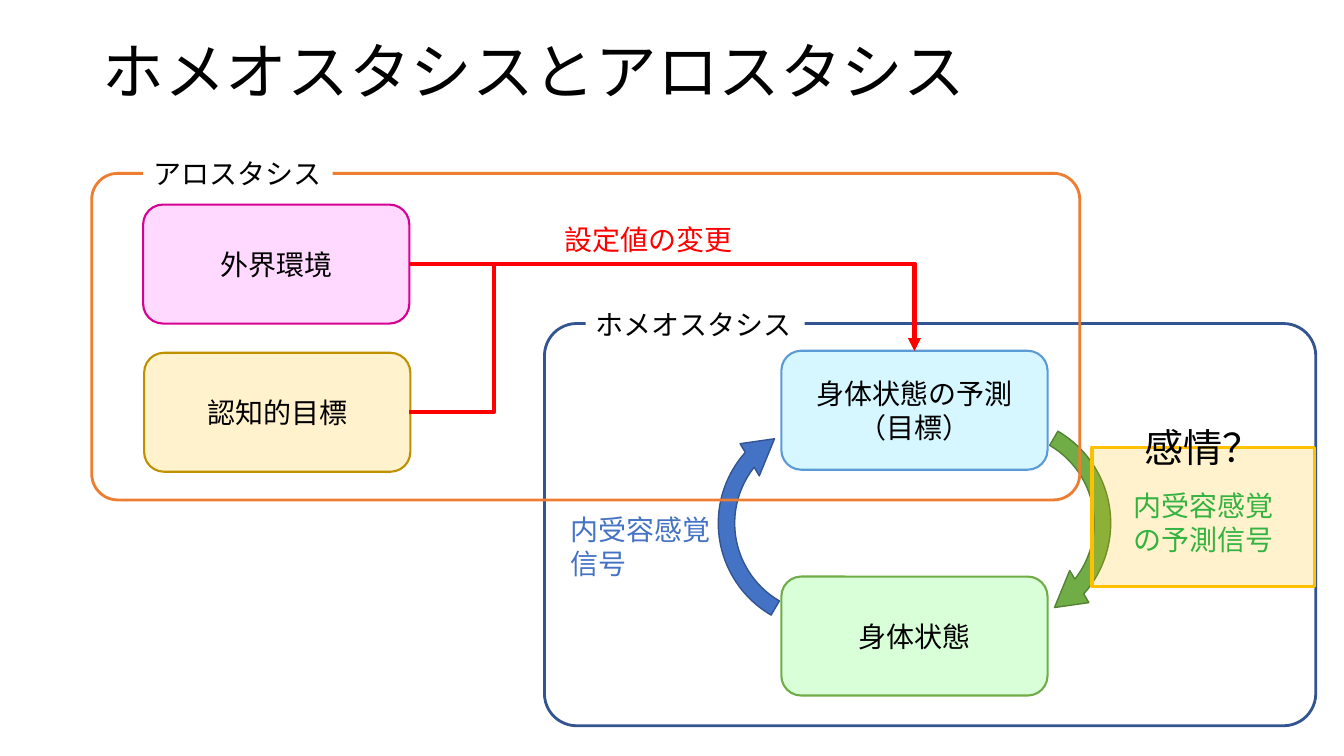
from lxml.etree import SubElement
from pptx import Presentation
from pptx.dml.color import RGBColor
from pptx.enum.shapes import MSO_CONNECTOR as Connector, MSO_SHAPE as Shape
from pptx.enum.text import MSO_ANCHOR as Anchor, PP_ALIGN as Align
from pptx.oxml.ns import qn
from pptx.util import Inches, Pt

FONT = "Noto Sans CJK JP"
BLACK = RGBColor(0x00, 0x00, 0x00)
WHITE = RGBColor(0xFF, 0xFF, 0xFF)
RED = RGBColor(0xFF, 0x00, 0x00)
ORANGE = RGBColor(0xED, 0x7D, 0x31)
GOLD = RGBColor(0xFF, 0xC0, 0x00)
BLUE = RGBColor(0x44, 0x72, 0xC4)
NAVY = RGBColor(0x32, 0x54, 0x91)
GREEN = RGBColor(0x70, 0xAD, 0x47)
DARK_GREEN = RGBColor(0x54, 0x82, 0x35)
SIGNAL_GREEN = RGBColor(0x00, 0xB0, 0x50)
PINK = RGBColor(0xFF, 0xD9, 0xFF)
MAGENTA = RGBColor(0xD6, 0x00, 0x93)
CREAM = RGBColor(0xFF, 0xF2, 0xCC)
OCHRE = RGBColor(0xBF, 0x90, 0x00)
MINT = RGBColor(0xD9, 0xFF, 0xD9)
PALE_BLUE = RGBColor(0xD6, 0xF7, 0xFF)
SKY = RGBColor(0x5B, 0x9B, 0xD5)


def write_text(frame, text, size=20, color=BLACK, align=Align.LEFT,
               anchor=Anchor.TOP, wrap=False, spacing=None):
    frame.word_wrap = wrap
    frame.vertical_anchor = anchor
    for index, line in enumerate(text.split("\n")):
        para = frame.add_paragraph() if index else frame.paragraphs[0]
        para.alignment = align
        if spacing:
            para.line_spacing = spacing
        span = para.add_run()
        span.text = line
        span.font.size = Pt(size)
        span.font.color.rgb = color
        span.font.name = FONT
        SubElement(span.font._element, qn("a:ea"), typeface=FONT)


class Diagram:
    def __init__(self, page):
        self.page = page

    def shape(self, kind, place, fill=None, line=None, width=1, adjust=(), alpha=None):
        box = self.page.shapes.add_shape(kind, *map(Inches, place))
        box.shadow.inherit = False
        for index, value in enumerate(adjust):
            box.adjustments[index] = value
        if fill is None:
            box.fill.background()
        else:
            box.fill.solid()
            box.fill.fore_color.rgb = fill
        if alpha is not None:
            color = box._element.spPr.find(qn("a:solidFill"))[0]
            SubElement(color, qn("a:alpha"), val=str(alpha * 1000))
        if line is None:
            box.line.fill.background()
        else:
            box.line.color.rgb = line
            box.line.width = Pt(width)
        return box

    def frame(self, place, line):
        self.shape(Shape.ROUNDED_RECTANGLE, place, line=line, width=2, adjust=[0.08])

    def node(self, left, top, text, fill, line):
        box = self.shape(Shape.ROUNDED_RECTANGLE, (left, top, 2.64, 1.18), fill, line, 1.5)
        write_text(box.text_frame, text, align=Align.CENTER, anchor=Anchor.MIDDLE, wrap=True)

    def cycle_arrow(self, left, rotation, fill, line):
        arrow = self.shape(Shape.CIRCULAR_ARROW, (left, 4.03, 2.32, 2.32), fill, line,
                           adjust=[0.07, 11.42, 186.12, 126.15, 0.08])
        arrow.rotation = rotation

    def label(self, place, text, **style):
        box = self.page.shapes.add_textbox(*map(Inches, place))
        write_text(box.text_frame, text, **style)
        return box

    def frame_label(self, place, text):
        box = self.label(place, text)
        box.fill.solid()
        box.fill.fore_color.rgb = WHITE

    def bent_arrow(self, start, end, preset, adjust=()):
        arrow = self.page.shapes.add_connector(Connector.ELBOW, *map(Inches, (*start, *end)))
        arrow.line.color.rgb = RED
        arrow.line.width = Pt(3)
        properties = arrow._element.spPr
        geometry = properties.find(qn("a:prstGeom"))
        geometry.set("prst", preset)
        guides = geometry.find(qn("a:avLst"))
        for number, value in enumerate(adjust, 1):
            SubElement(guides, qn("a:gd"), name=f"adj{number}", fmla=f"val {value}")
        SubElement(properties.find(qn("a:ln")), qn("a:tailEnd"), type="triangle")
        SubElement(properties, qn("a:effectLst"))


def main():
    deck = Presentation()
    deck.slide_width, deck.slide_height = Inches(13.33), Inches(7.5)
    diagram = Diagram(deck.slides.add_slide(deck.slide_layouts[6]))

    diagram.frame((5.4, 3.21, 7.65, 3.99), NAVY)
    title = diagram.label((0.92, 0.4, 11.5, 1.45), "ホメオスタシスとアロスタシス",
                          size=44, anchor=Anchor.MIDDLE, wrap=True, spacing=0.9)
    title.text_frame.margin_top = 0
    title.text_frame.margin_bottom = Inches(0.77)

    for node in (
        (1.42, 2.03, "外界環境", PINK, MAGENTA),
        (1.43, 3.5, "認知的目標", CREAM, OCHRE),
        (7.75, 5.72, "身体状態", MINT, GREEN),
        (7.75, 3.48, "身体状態の予測\n（目標）", PALE_BLUE, SKY),
    ):
        diagram.node(*node)

    diagram.cycle_arrow(8.8, 90, GREEN, DARK_GREEN)
    diagram.cycle_arrow(7.02, 270, BLUE, NAVY)
    diagram.label((5.56, 5.04, 1.6, 0.77), "内受容感覚\n信号", color=BLUE)
    diagram.frame_label((5.81, 3, 2.17, 0.44), "ホメオスタシス")

    target = (9.07, 3.48)
    diagram.bent_arrow((4.06, 2.62), target, "bentConnector2")
    diagram.bent_arrow((4.06, 4.09), target, "bentConnector4", (16700, 241500))
    diagram.label((5.5, 2.16, 1.88, 0.44), "設定値の変更", color=RED)

    diagram.frame((0.91, 1.72, 9.8, 3.24), ORANGE)
    diagram.frame_label((1.42, 1.5, 1.88, 0.44), "アロスタシス")

    diagram.label((11.14, 4.8, 1.6, 0.77), "内受容感覚\nの予測信号", color=SIGNAL_GREEN)
    diagram.shape(Shape.RECTANGLE, (10.83, 4.44, 2.21, 1.38), GOLD, GOLD, 2.5, alpha=20)
    diagram.label((11.25, 4.15, 1.38, 0.57), "感情？", size=28)

    deck.save("out.pptx")


if __name__ == "__main__":
    main()
